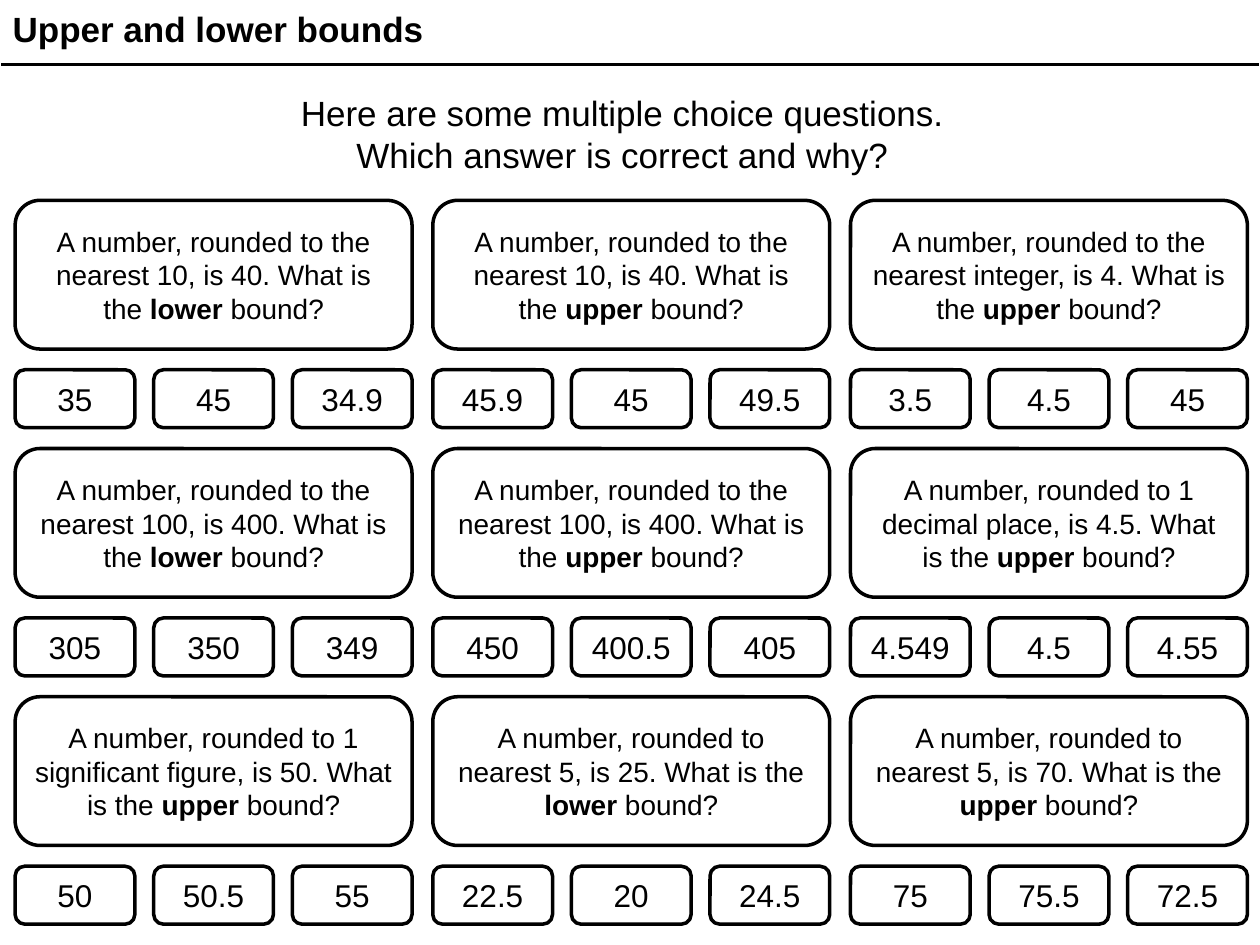
from lxml.etree import SubElement
from pptx import Presentation
from pptx.dml.color import RGBColor
from pptx.enum.shapes import MSO_SHAPE
from pptx.enum.text import MSO_ANCHOR, PP_ALIGN
from pptx.oxml.ns import qn
from pptx.util import Inches, Pt

BLACK, WHITE = "000000", "FFFFFF"
LEFT, TOP = 0.12, 1.59
COL_STEP, ROW_STEP = 3.315, 1.97
QUESTION_W, QUESTION_H = 3.15, 1.18
ANSWER_W, ANSWER_H = 0.95, 0.46
ANSWER_STEP = (QUESTION_W - ANSWER_W) / 2
ANSWER_DROP = 1.345

# Question opening, bound asked for, possible answers
QUESTIONS = [
    [("the nearest 10, is 40", "lower", ["35", "45", "34.9"]),
     ("the nearest 10, is 40", "upper", ["45.9", "45", "49.5"]),
     ("the nearest integer, is 4", "upper", ["3.5", "4.5", "45"])],
    [("the nearest 100, is 400", "lower", ["305", "350", "349"]),
     ("the nearest 100, is 400", "upper", ["450", "400.5", "405"]),
     ("1 decimal place, is 4.5", "upper", ["4.549", "4.5", "4.55"])],
    [("1 significant figure, is 50", "upper", ["50", "50.5", "55"]),
     ("nearest 5, is 25", "lower", ["22.5", "20", "24.5"]),
     ("nearest 5, is 70", "upper", ["75", "75.5", "72.5"])],
]


def rgb(value):
    return RGBColor.from_string(value)


def add_run(p, text, size, bold=False):
    r = p.add_run()
    r.text = text
    for name, value in {"name": "Arial", "size": Pt(size), "bold": bold}.items():
        setattr(r.font, name, value)
    r.font.color.rgb = rgb(BLACK)


def add_border(cell, side, color, width):
    """Draw one edge of a table cell; call before the cell is filled."""
    ln = SubElement(cell._tc.get_or_add_tcPr(), qn(f"a:ln{side}"), w=str(Pt(width)))
    fill = SubElement(ln, qn("a:solidFill"))
    SubElement(fill, qn("a:srgbClr"), val=color)


def add_title(s, text):
    frame = s.shapes.add_table(1, 1, 0, Inches(-0.03), Inches(10), Inches(0.54))
    for name in ("first_row", "horz_banding"):
        setattr(frame.table, name, False)
    cell = frame.table.cell(0, 0)
    for side, color, width in (("L", WHITE, 1), ("R", WHITE, 1), ("B", BLACK, 2.25)):
        add_border(cell, side, color, width)
    cell.fill.background()
    cell.vertical_anchor = MSO_ANCHOR.MIDDLE
    add_run(cell.text_frame.paragraphs[0], text, 20, True)


def add_intro(s, lines):
    box = s.shapes.add_textbox(0, Inches(0.68), Inches(9.88), Inches(0.77))
    tf = box.text_frame
    tf.word_wrap = True
    for i, line in enumerate(lines):
        p = tf.add_paragraph() if i else tf.paragraphs[0]
        p.alignment = PP_ALIGN.CENTER
        add_run(p, line, 20)


def add_card(s, x, y, w, h, runs, size):
    """Add a rounded box holding one centred paragraph of (text, bold) runs."""
    sp = s.shapes.add_shape(MSO_SHAPE.ROUNDED_RECTANGLE,
                            *(Inches(v) for v in (x, y, w, h)))
    sp.shadow.inherit = False
    sp.fill.solid()
    sp.fill.fore_color.rgb = rgb(WHITE)
    sp.line.color.rgb = rgb(BLACK)
    sp.line.width = Pt(2)
    tf = sp.text_frame
    layout = {"word_wrap": True, "vertical_anchor": MSO_ANCHOR.MIDDLE,
              "margin_left": Inches(0.09), "margin_right": Inches(0.09)}
    for name, value in layout.items():
        setattr(tf, name, value)
    p = tf.paragraphs[0]
    p.alignment = PP_ALIGN.CENTER
    for text, bold in runs:
        add_run(p, text, size, bold)


def add_question(s, col, row, rounding, bound, answers):
    x, y = LEFT + col * COL_STEP, TOP + row * ROW_STEP
    runs = [(f"A number, rounded to {rounding}. What is the ", False),
            (bound, True), (" bound?", False)]
    add_card(s, x, y, QUESTION_W, QUESTION_H, runs, 16)
    for i, answer in enumerate(answers):
        add_card(s, x + i * ANSWER_STEP, y + ANSWER_DROP, ANSWER_W, ANSWER_H,
                 [(answer, False)], 18)


def main():
    prs = Presentation()
    prs.slide_width, prs.slide_height = Inches(10), Inches(7.5)
    s = prs.slides.add_slide(prs.slide_layouts[6])
    add_title(s, "Upper and lower bounds")
    add_intro(s, ["Here are some multiple choice questions.",
                  "Which answer is correct and why?"])
    for row, questions in enumerate(QUESTIONS):
        for col, question in enumerate(questions):
            add_question(s, col, row, *question)
    prs.save("out.pptx")


if __name__ == "__main__":
    main()
